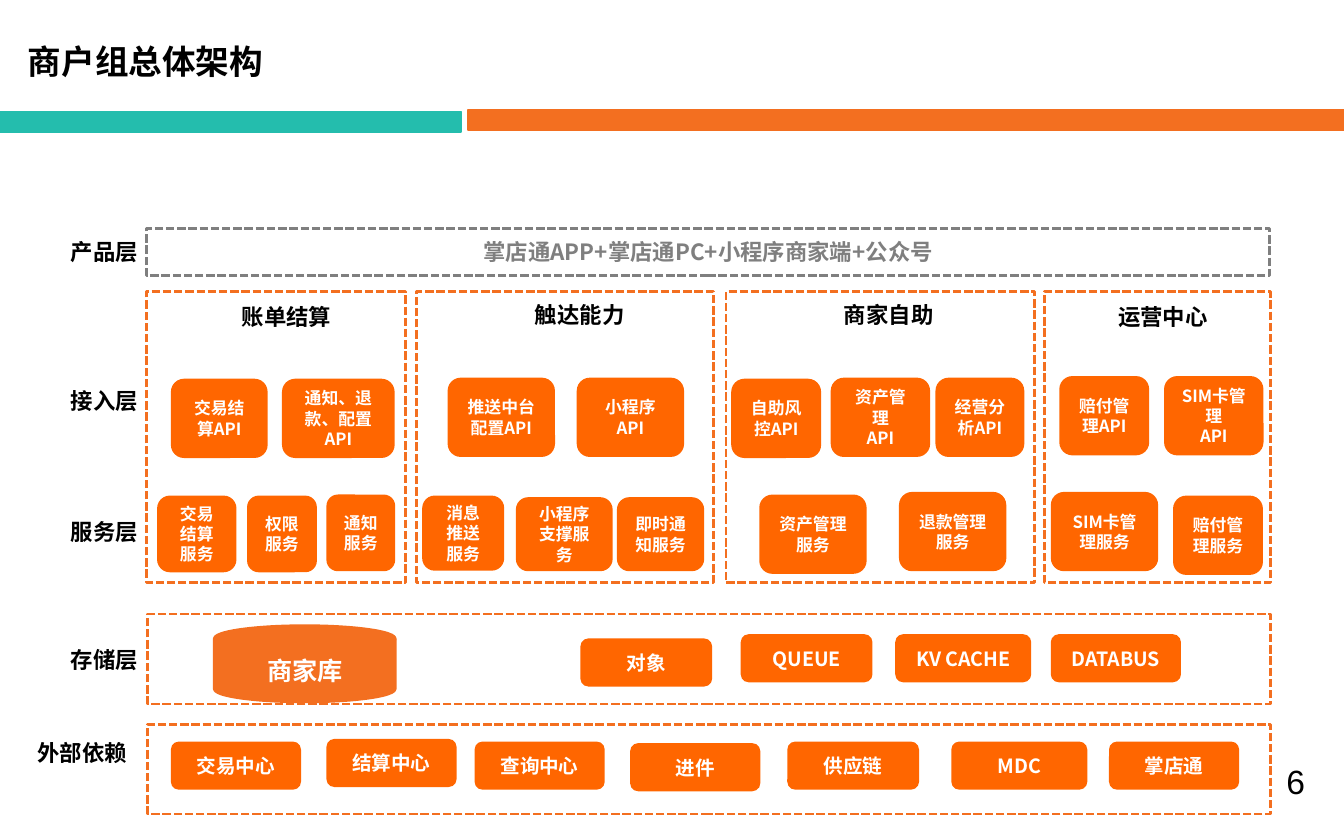
from dataclasses import dataclass

from pptx import Presentation
from pptx.dml.color import RGBColor
from pptx.enum.dml import MSO_LINE
from pptx.enum.shapes import MSO_SHAPE
from pptx.enum.text import MSO_ANCHOR, MSO_AUTO_SIZE, PP_ALIGN
from pptx.oxml.ns import qn
from pptx.util import Cm, Pt

RECT, ROUND = MSO_SHAPE.RECTANGLE, MSO_SHAPE.ROUNDED_RECTANGLE
DISK = MSO_SHAPE.FLOWCHART_MAGNETIC_DISK
DASH = MSO_LINE.SQUARE_DOT
CENTER, MIDDLE = PP_ALIGN.CENTER, MSO_ANCHOR.MIDDLE


@dataclass(frozen=True)
class Theme:
    font: str = "Noto Sans CJK SC"
    number_font: str = "Arial"
    teal: str = "24BDAD"
    orange: str = "F36F20"
    box: str = "FF6600"
    gray: str = "7F7F7F"
    black: str = "000000"
    white: str = "FFFFFF"
    title: float = 18
    disk: float = 13.5
    label: float = 12
    resource: float = 10.5
    module: float = 9


T = Theme()

# All positions and sizes are in centimetres
FRAME_X, FRAME_W = 2.79, 21.23
DOMAIN_Y, DOMAIN_H = 5.51, 5.51
API_H, RESOURCE_H, STORE_H = 1.5, 0.91, 1.7

# Layer name, left, top
LAYERS = [
    ("产品层", 1.09, 4.37), ("接入层", 1.09, 7.19), ("服务层", 1.09, 9.68),
    ("存储层", 1.09, 12.09), ("外部依赖", 0.46, 13.84),
]

# Domain name, name left, name top, frame left, frame width
DOMAINS = [
    ("账单结算", 4.32, 5.61, 2.77, 4.9), ("触达能力", 9.86, 5.56, 7.87, 5.61),
    ("商家自助", 15.7, 5.56, 13.72, 5.84), ("运营中心", 20.88, 5.61, 19.74, 4.27),
]

# Text, left, top, width
APIS = [
    ("交易结算API", 3.23, 7.16, 1.83), ("通知、退款、配置API", 5.33, 7.16, 2.13),
    ("推送中台配置API", 8.46, 7.14, 2.03), ("小程序API", 10.9, 7.14, 2.03),
    ("自助风控API", 13.82, 7.16, 1.7), ("资产管理\nAPI", 15.7, 7.14, 1.88),
    ("经营分析API", 17.68, 7.14, 1.68), ("赔付管理API", 20.02, 7.11, 1.7),
    ("SIM卡管理\nAPI", 22, 7.11, 1.88),
]

# Text, left, top, width, height
SERVICES = [
    ("交易结算服务", 2.97, 9.37, 1.5, 1.45), ("权限服务", 4.67, 9.37, 1.32, 1.45),
    ("通知服务", 6.17, 9.35, 1.3, 1.45), ("消息推送服务", 7.98, 9.37, 1.55, 1.42),
    ("小程序支撑服务", 9.75, 9.4, 1.83, 1.4), ("即时通知服务", 11.66, 9.4, 1.65, 1.4),
    ("资产管理服务", 14.35, 9.35, 2.03, 1.5), ("退款管理服务", 16.99, 9.3, 2.03, 1.5),
    ("SIM卡管理服务", 19.86, 9.3, 2.03, 1.5), ("赔付管理服务", 22.17, 9.37, 1.7, 1.5),
]

# Text, left, top, width
RESOURCES = [
    ("对象", 10.97, 12.07, 2.49), ("QUEUE", 14, 11.99, 2.49),
    ("KV CACHE", 16.92, 11.99, 2.57), ("DATABUS", 19.86, 11.99, 2.46),
    ("交易中心", 3.23, 14.02, 2.46), ("结算中心", 6.17, 13.97, 2.46),
    ("查询中心", 8.97, 14.02, 2.46), ("进件", 11.91, 14.05, 2.46),
    ("供应链", 14.88, 14.02, 2.49), ("MDC", 17.98, 14.02, 2.57),
    ("掌店通", 20.96, 14.02, 2.46),
]


def rgb(color):
    return RGBColor.from_string(color)


def write(tf, text, size, color, font=T.font, bold=True, align=None):
    tf.text = text
    for p in tf.paragraphs:
        p.alignment = align
        for r in p.runs:
            r.font.size, r.font.bold, r.font.name = Pt(size), bold, font
            r.font.color.rgb = rgb(color)
            ea = r._r.get_or_add_rPr().makeelement(qn("a:ea"), {"typeface": font})
            r.font._element.append(ea)


def add_box(s, kind, x, y, w, h, fill=None, line=None, width=1.5, dash=None):
    sp = s.shapes.add_shape(kind, Cm(x), Cm(y), Cm(w), Cm(h))
    sp.shadow.inherit = False
    if fill:
        sp.fill.solid()
        sp.fill.fore_color.rgb = rgb(fill)
    else:
        sp.fill.background()
    if line:
        sp.line.color.rgb = rgb(line)
        sp.line.width = Pt(width)
        sp.line.dash_style = dash
    else:
        sp.line.fill.background()
    return sp


def add_frame(s, x, y, w, h, color=T.orange):
    return add_box(s, RECT, x, y, w, h, line=color, dash=DASH)


def fill_text(sp, text, size, color=T.white):
    tf = sp.text_frame
    tf.word_wrap = True
    tf.vertical_anchor = MIDDLE
    write(tf, text, size, color, align=CENTER)


def add_module(s, text, x, y, w, h, size):
    fill_text(add_box(s, ROUND, x, y, w, h, fill=T.box), text, size)


def add_label(s, text, x, y, w, h=0.76, size=T.label, **style):
    tf = s.shapes.add_textbox(Cm(x), Cm(y), Cm(w), Cm(h)).text_frame
    tf.word_wrap = False
    tf.auto_size = MSO_AUTO_SIZE.SHAPE_TO_FIT_TEXT
    write(tf, text, size, T.black, **style)
    return tf


def main():
    prs = Presentation()
    prs.slide_width, prs.slide_height = Cm(25.4), Cm(15.88)
    s = prs.slides.add_slide(prs.slide_layouts[6])

    # Title and header bars
    add_box(s, RECT, 0, 2.11, 8.71, 0.38, T.teal, T.teal, 1)
    add_box(s, RECT, 8.84, 2.08, 16.56, 0.38, T.orange, T.orange, 1)
    add_label(s, "商户组总体架构", 0.28, 0.64, 5, 1.02, T.title)

    # Layer names
    for text, x, y in LAYERS:
        add_label(s, text, x, y, 1.8 if len(text) == 3 else 2.24)

    # Product layer
    sp = add_frame(s, 2.77, 4.32, FRAME_W, 0.89, T.gray)
    fill_text(sp, "掌店通APP+掌店通PC+小程序商家端+公众号", T.label, T.gray)

    # Business domains with their APIs and services
    for text, name_x, name_y, x, w in DOMAINS:
        add_frame(s, x, DOMAIN_Y, w, DOMAIN_H)
        add_label(s, text, name_x, name_y, 2.24)
    for text, x, y, w in APIS:
        add_module(s, text, x, y, w, API_H, T.module)
    for text, x, y, w, h in SERVICES:
        add_module(s, text, x, y, w, h, T.module)

    # Storage layer and external dependencies
    for y in (11.61, 13.69):
        add_frame(s, FRAME_X, y, FRAME_W, STORE_H)
    sp = add_box(s, DISK, 4.06, 11.84, 3.4, 1.42, T.orange, T.orange, 2)
    fill_text(sp, "商家库", T.disk)
    for text, x, y, w in RESOURCES:
        add_module(s, text, x, y, w, RESOURCE_H, T.resource)

    # Page number
    tf = add_label(s, "6", 24.18, 14.27, 0.61, 1.02, T.title, font=T.number_font, bold=False)
    tf.margin_left = tf.margin_right = Cm(0.13)

    prs.save("out.pptx")


if __name__ == "__main__":
    main()
